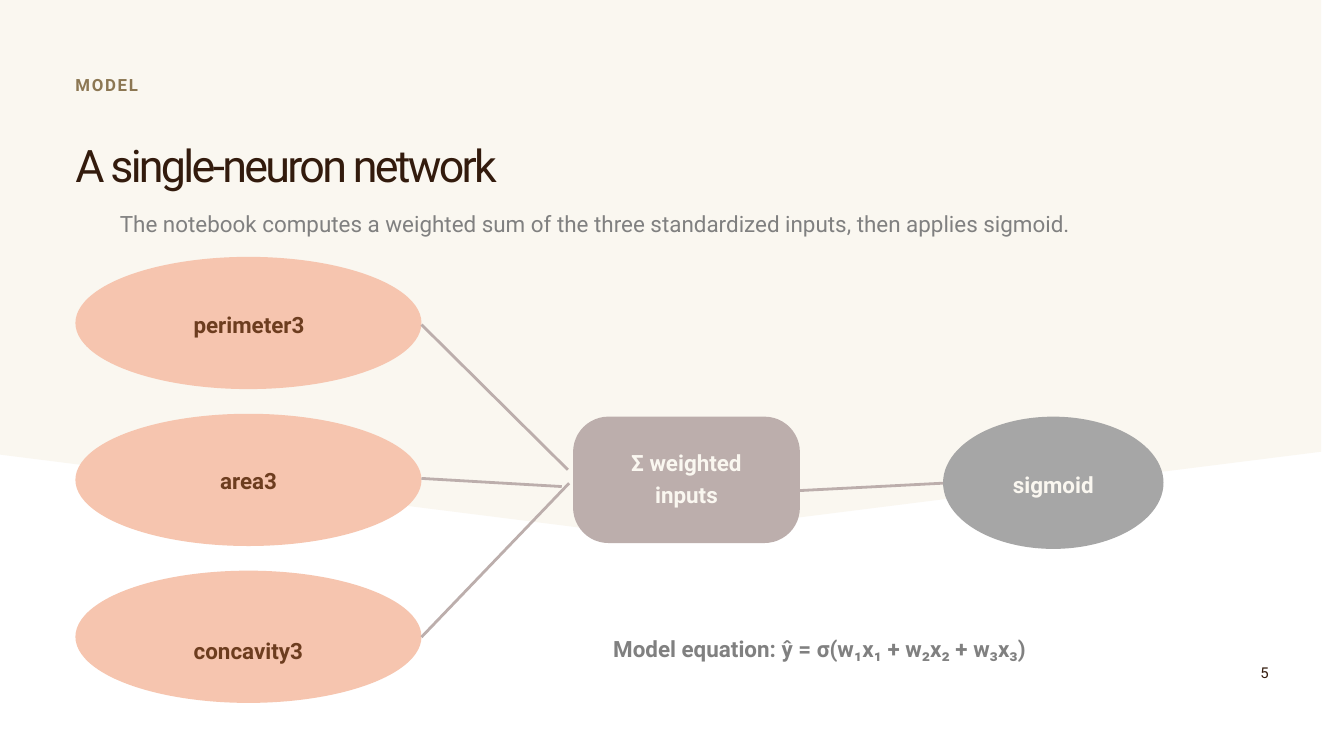
import pptx
import pptx.dml.color
import pptx.enum.shapes
import pptx.enum.text
import pptx.oxml
import pptx.oxml.ns
import pptx.util

Pt = pptx.util.Pt
Align = pptx.enum.text.PP_ALIGN
Shape = pptx.enum.shapes.MSO_SHAPE

CREAM, PEACH, TAUPE, GRAY = "FAF7F0", "F6C5AF", "BCAEAC", "A6A6A6"
DARK, BROWN, GOLD, MUTED = "331B0D", "6D3D1F", "8C7753", "808080"


def paint(color_format, color):
    color_format.rgb = pptx.dml.color.RGBColor.from_string(color)


def add_text(lines, left, top, width, height, color, size=24, bold=False,
             align=Align.CENTER, leading=33.6, tracking=0):
    """Add an unpadded text box, one paragraph per line; tracking is in points."""
    box = slide.shapes.add_textbox(Pt(left), Pt(top), Pt(width), Pt(height))
    frame = box.text_frame
    frame.word_wrap = True
    frame.auto_size = pptx.enum.text.MSO_AUTO_SIZE.SHAPE_TO_FIT_TEXT
    frame.margin_left = frame.margin_right = frame.margin_top = frame.margin_bottom = 0
    frame.text = lines
    for para in frame.paragraphs:
        para.alignment = align
        para.line_spacing = Pt(leading)
        para.font.name = "Roboto"
        para.font.size = Pt(size)
        para.font.bold = bold
        paint(para.font.color, color)
        if tracking:
            for span in para.runs:
                span._r.get_or_add_rPr().set("spc", str(round(tracking * 100)))


deck = pptx.Presentation()
deck.slide_width, deck.slide_height = Pt(1440), Pt(810)
slide = deck.slides.add_slide(deck.slide_layouts[6])

# Cream backdrop with a pointed lower edge
builder = slide.shapes.build_freeform(Pt(-24.5), Pt(-24.5))
builder.add_line_segments([(Pt(x), Pt(y)) for x, y in [
    (1415.5, -24.5), (1415.5, 484), (695.5, 574.6), (-24.5, 484)]])
backdrop = builder.convert_to_shape()

# Network nodes
margin = 80.8
input_tops = [275.2 + 168.1 * row for row in range(3)]
nodes = [(backdrop, CREAM)]
for kind, left, top, width, height, color in [
    *[(Shape.OVAL, margin, top, 370.8, 141.7, PEACH) for top in input_tops],
    (Shape.ROUNDED_RECTANGLE, 614, 446.4, 243, 135.4, TAUPE),
    (Shape.OVAL, 1010.4, 446.4, 236.2, 141.7, GRAY),
]:
    node = slide.shapes.add_shape(kind, Pt(left), Pt(top), Pt(width), Pt(height))
    if kind == Shape.ROUNDED_RECTANGLE:
        node.adjustments[0] = 0.28
    nodes.append((node, color))
for node, color in nodes:
    node.shadow.inherit = False
    node.fill.solid()
    paint(node.fill.fore_color, color)
    node.line.fill.background()

# Heading and page number
add_text("MODEL", margin, 83.5, 578, 19.4, GOLD, size=18, bold=True,
         align=Align.JUSTIFY, leading=18, tracking=1.8)
add_text("A single-neuron network", margin, 157, 639.4, 98, DARK, size=48,
         align=Align.LEFT, leading=48, tracking=-2.9)
add_text("The notebook computes a weighted sum of the three standardized inputs, "
         "then applies sigmoid.", margin, 220.3, 1113, 64.8, MUTED)
add_text("5", 1000, 707.8, 359.4, 21.6, DARK, size=16, align=Align.RIGHT, leading=22.4)

# Node labels and equation
for label, left, top, width, height, color in [
    ("perimeter3", 200.2, 328.3, 133.2, 31.7, BROWN),
    ("area3", 231.8, 496.1, 69.1, 31.7, BROWN),
    ("concavity3", 200.2, 678.2, 131.8, 31.7, BROWN),
    ("Σ weighted\ninputs", 669.6, 476.6, 131.8, 97.9, CREAM),
    ("sigmoid", 1081.4, 499.7, 94.3, 31.7, CREAM),
    ("Model equation: ŷ = σ(w₁x₁ + w₂x₂ + w₃x₃)", 637.2, 676.1, 481.7, 64.8, MUTED),
]:
    add_text(label, left, top, width, height, color, bold=True)

# Links between nodes
for start_x, start_y, end_x, end_y in [
    (451.6, 347.8, 608.4, 503.3),
    (451.6, 512.6, 601.9, 521.3),
    (451.6, 682.6, 609.8, 517.7),
    (857, 525.6, 1010.4, 517.7),
]:
    link = slide.shapes.add_connector(
        pptx.enum.shapes.MSO_CONNECTOR.STRAIGHT,
        Pt(start_x), Pt(start_y), Pt(end_x), Pt(end_y))
    paint(link.line.color, TAUPE)
    link.line.width = Pt(3)
    link._element.spPr.append(pptx.oxml.parse_xml(
        f"<a:effectLst {pptx.oxml.ns.nsdecls('a')}/>"))

deck.save("out.pptx")
